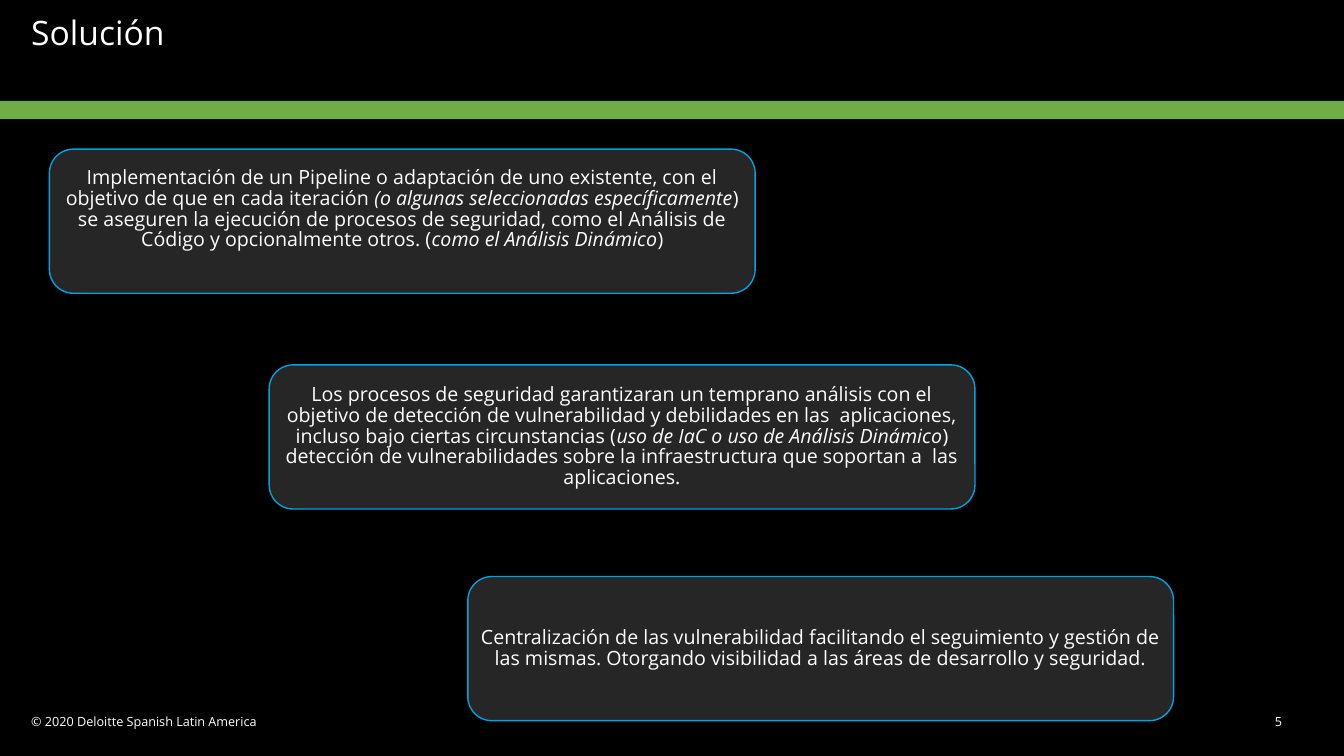
from dataclasses import dataclass

from pptx import Presentation
from pptx.dml.color import RGBColor
from pptx.enum import shapes, text
from pptx.util import Inches, Pt


@dataclass(frozen=True)
class Theme:
    font: str = "Open Sans"
    background: str = "000000"
    ink: str = "FFFFFF"
    bar: str = "70AD47"
    card: str = "262626"
    outline: str = "00A3E0"
    title_size: float = 24
    body_size: float = 14
    footer_size: float = 9
    body_spacing: float = 0.88


@dataclass(frozen=True)
class Span:
    words: str
    italic: bool = False


@dataclass(frozen=True)
class Card:
    left: float
    top: float
    spans: tuple[Span, ...]
    bottom_inset: float = 0.07


@dataclass(frozen=True)
class Footer:
    left: float
    width: float
    words: str
    align: text.PP_ALIGN


THEME = Theme()
CARD_WIDTH, CARD_HEIGHT = 7, 1.43
FOOTER_TOP, FOOTER_HEIGHT = 7.08, 0.15

CARDS = (
    Card(0.49, 1.48, (
        Span("Implementación de un Pipeline o adaptación de uno existente, con el "
             "objetivo de que en cada iteración "),
        Span("(o algunas seleccionadas específicamente", italic=True),
        Span(") se aseguren la ejecución de procesos de seguridad, como el Análisis "
             "de Código y opcionalmente otros. ("),
        Span("como el Análisis Dinámico", italic=True),
        Span(")"),
    ), bottom_inset=0.3),
    Card(2.67, 3.62, (
        Span("Los procesos de seguridad garantizaran un temprano análisis con el "
             "objetivo de detección de vulnerabilidad y debilidades en las  "
             "aplicaciones, incluso bajo ciertas circunstancias ("),
        Span("uso de IaC o uso de Análisis Dinámico", italic=True),
        Span(") detección de vulnerabilidades sobre la infraestructura que soportan "
             "a  las aplicaciones."),
    )),
    Card(4.64, 5.72, (
        Span("Centralización de las vulnerabilidad facilitando el seguimiento y "
             "gestión de las mismas. Otorgando visibilidad a las áreas de "
             "desarrollo y seguridad."),
    )),
)

FOOTERS = (
    Footer(0.31, 3.71, "© 2020 Deloitte Spanish Latin America", text.PP_ALIGN.LEFT),
    Footer(12.51, 0.34, "5", text.PP_ALIGN.CENTER),
)


def write(box, spans: tuple[Span, ...], *, size: float, align=text.PP_ALIGN.LEFT,
          anchor=text.MSO_ANCHOR.TOP, insets=(0, 0, 0, 0), spacing: float = 1) -> None:
    frame = box.text_frame
    frame.word_wrap = True
    frame.auto_size = text.MSO_AUTO_SIZE.NONE
    frame.vertical_anchor = anchor
    frame.margin_left, frame.margin_top, frame.margin_right, frame.margin_bottom = map(Inches, insets)
    para = frame.paragraphs[0]
    para.alignment = align
    para.line_spacing = spacing
    para.space_before = Pt(0)
    for span in spans:
        run = para.add_run()
        run.text = span.words
        run.font.name = THEME.font
        run.font.size = Pt(size)
        run.font.italic = span.italic
        run.font.color.rgb = RGBColor.from_string(THEME.ink)


def add_block(page, kind, left: float, top: float, width: float, height: float,
              *, fill: str, outline: str | None = None):
    block = page.shapes.add_shape(kind, Inches(left), Inches(top), Inches(width), Inches(height))
    block.shadow.inherit = False
    block.fill.solid()
    block.fill.fore_color.rgb = RGBColor.from_string(fill)
    if outline:
        block.line.color.rgb = RGBColor.from_string(outline)
        block.line.width = Pt(1)
    else:
        block.line.fill.background()
    return block


def add_title(page, words: str) -> None:
    title = page.shapes.title
    title.left, title.top = Inches(0.31), Inches(0.12)
    title.width, title.height = Inches(10.37), Inches(0.76)
    write(title, (Span(words),), size=THEME.title_size)


def add_card(page, card: Card) -> None:
    block = add_block(page, shapes.MSO_SHAPE.ROUNDED_RECTANGLE, card.left, card.top,
                      CARD_WIDTH, CARD_HEIGHT, fill=THEME.card, outline=THEME.outline)
    write(block, card.spans, size=THEME.body_size, align=text.PP_ALIGN.CENTER,
          anchor=text.MSO_ANCHOR.MIDDLE, insets=(0.04, 0.07, 0.04, card.bottom_inset),
          spacing=THEME.body_spacing)


def add_footer(page, footer: Footer) -> None:
    box = page.shapes.add_textbox(Inches(footer.left), Inches(FOOTER_TOP),
                                  Inches(footer.width), Inches(FOOTER_HEIGHT))
    write(box, (Span(footer.words),), size=THEME.footer_size, align=footer.align)


def main() -> None:
    deck = Presentation()
    deck.slide_width, deck.slide_height = Inches(13.33), Inches(7.5)
    page = deck.slides.add_slide(deck.slide_layouts[5])
    page.background.fill.solid()
    page.background.fill.fore_color.rgb = RGBColor.from_string(THEME.background)
    add_block(page, shapes.MSO_SHAPE.RECTANGLE, 0, 1, 13.33, 0.18, fill=THEME.bar)
    add_title(page, "Solución")
    for card in CARDS:
        add_card(page, card)
    for footer in FOOTERS:
        add_footer(page, footer)
    deck.save("out.pptx")


if __name__ == "__main__":
    main()
